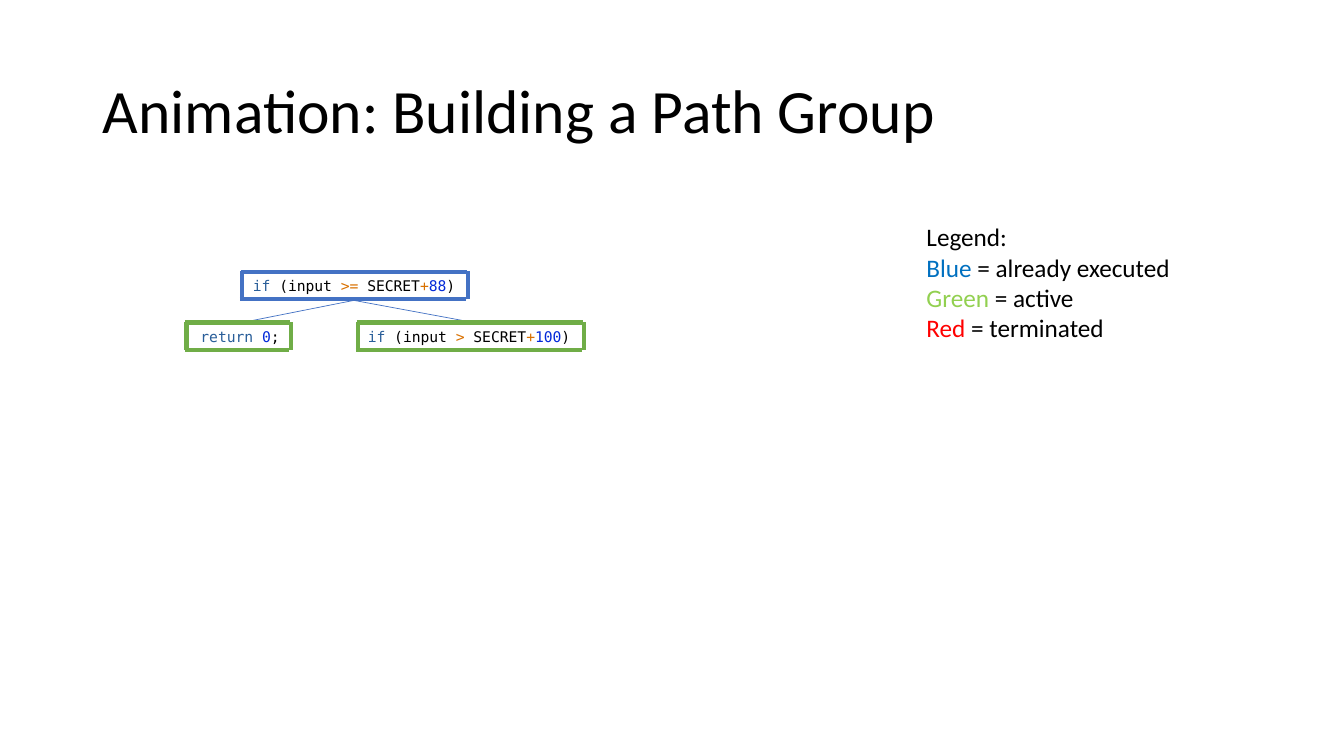
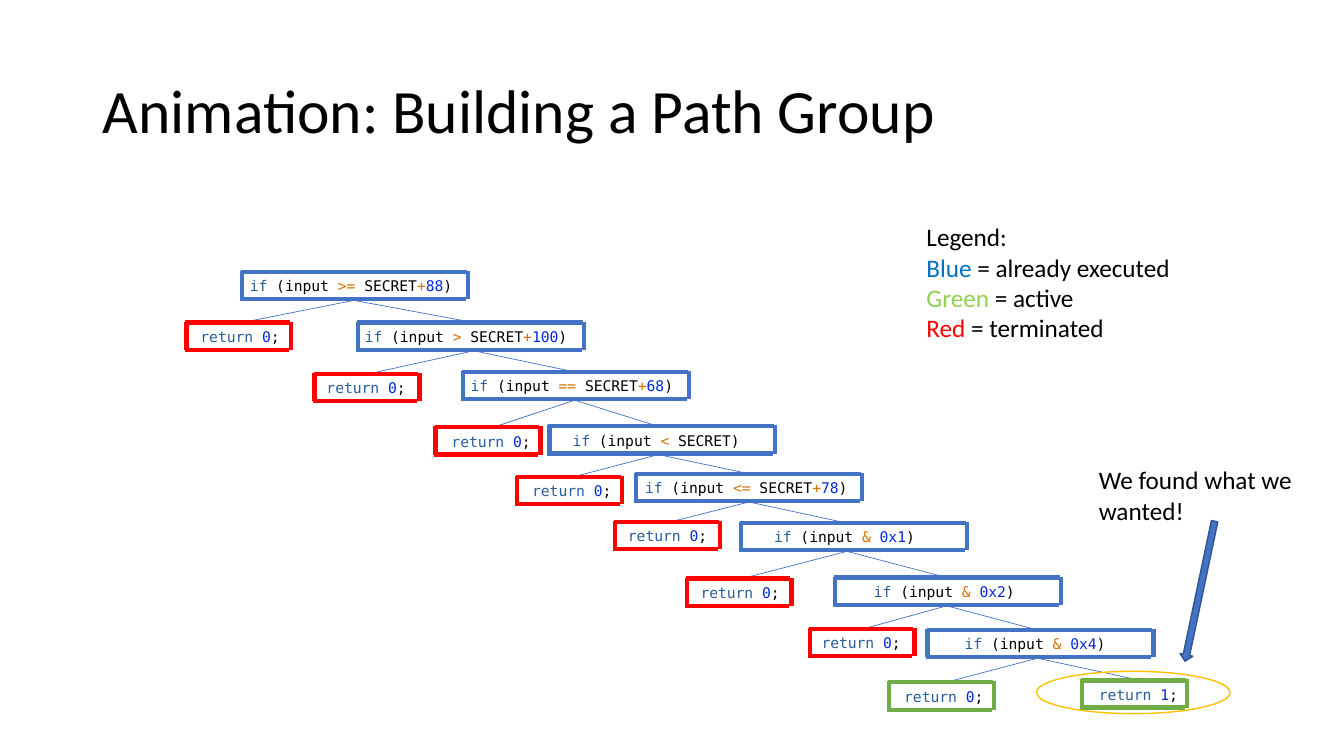
from itertools import pairwise
from pptx import Presentation
from pptx.dml.color import RGBColor
from pptx.enum.shapes import MSO_CONNECTOR as LINK, MSO_SHAPE as SHAPE
from pptx.enum.text import MSO_ANCHOR as ANCHOR, MSO_AUTO_SIZE as FIT, PP_ALIGN as ALIGN
from pptx.oxml.ns import qn
from pptx.util import Pt

PX = 9144
BLACK = RGBColor(0x00, 0x00, 0x00)
BLUE = RGBColor(0x44, 0x72, 0xC4)
NAVY = RGBColor(0x32, 0x54, 0x91)
GREEN = RGBColor(0x70, 0xAD, 0x47)
RED = RGBColor(0xFF, 0x00, 0x00)
GOLD = RGBColor(0xFF, 0xC0, 0x00)
SKY = RGBColor(0x00, 0x70, 0xC0)
LIME = RGBColor(0x92, 0xD0, 0x50)
WORD = RGBColor(0x29, 0x5E, 0x99)
SIGN = RGBColor(0xD9, 0x71, 0x00)
DIGIT = RGBColor(0x03, 0x29, 0xD8)

TITLE = "Animation: Building a Path Group"
LEGEND = [
    [("Legend:", BLACK)],
    [("Blue", SKY), (" = already executed", BLACK)],
    [("Green", LIME), (" = active", BLACK)],
    [("Red", RED), (" = terminated", BLACK)],
]
TESTS = [
    (">= ", "SECRET", "88", 238, 225, 240, 269),
    (">", " SECRET", "100", 352, 234, 355, 319),
    ("==", " SECRET", "68", 457, 225, 459, 368),
    ("<", " SECRET", "", 558, 189, 545, 422),
    ("<=", " SECRET", "78", 630, 225, 631, 469),
    ("& ", "", "0x1", 758, 163, 735, 518),
    ("& ", "", "0x2", 857, 163, 828, 572),
    ("& ", "", "0x4", 947, 163, 920, 624),
]
ENDS = [
    ("0", 189, 185, 319), ("0", 314, 312, 370), ("0", 438, 432, 423),
    ("0", 518, 513, 472), ("0", 613, 610, 517), ("0", 685, 681, 573),
    ("0", 805, 803, 623), ("0", 887, 882, 676), ("1", 1080, 1073, 674),
]
VIEWS = [
    ([BLUE, GREEN], [GREEN], 3),
    ([BLUE] * 8, [RED] * 7 + [GREEN] * 2, 0),
]


def write(page, lines, at, size=18, face="Calibri", wrap=True, box=None, gap=None):
    x, y, w, h = [n * PX for n in at]
    fit = FIT.NONE if box else FIT.SHAPE_TO_FIT_TEXT
    box = box or page.shapes.add_textbox(x, y, w, h)
    box.left, box.top, box.width, box.height = x, y, w, h
    frame = box.text_frame
    frame.word_wrap = wrap
    frame.auto_size = fit
    for i, line in enumerate(lines):
        para = frame.add_paragraph() if i else frame.paragraphs[0]
        para.alignment = ALIGN.LEFT
        para.line_spacing = gap
        for text, color in line:
            run = para.add_run()
            run.text = text
            run.font.size = Pt(size)
            run.font.name = face
            run.font.color.rgb = color
    return box


def draw(page, start, end, color=BLUE, width=0.5):
    ends = [n * PX for n in (*start, *end)]
    line = page.shapes.add_connector(LINK.STRAIGHT, *ends)
    line.line.color.rgb = color
    line.line.width = Pt(width)
    props = line._element.spPr
    props.append(props.makeelement(qn("a:effectLst"), {}))


deck = Presentation()
deck.slide_width, deck.slide_height = 1333 * PX, 750 * PX

for hues, tints, nudge in VIEWS:
    page = deck.slides.add_slide(deck.slide_layouts[5])
    head = write(page, [[(TITLE, BLACK)]], (92, 40, 1150, 145), size=44,
                 box=page.shapes.title, gap=0.9)
    head.text_frame.vertical_anchor = ANCHOR.MIDDLE

    codes, frames, hubs, tips = [], [], [], []
    for (sign, name, num, x, w, left, top), hue in zip(TESTS, hues):
        plus = "+" if name and num else ""
        parts = [("if", WORD), (" (input ", BLACK), (sign, SIGN), (name, BLACK),
                 (plus, SIGN), (num, DIGIT), (")", BLACK)]
        codes.append(([part for part in parts if part[0]], x + nudge, top + 1, w - nudge))
        frames.append((left, top, 224, hue))
        hubs.append((x + w // 2 + 1, top + 1))
    for (num, x, left, top), tint in zip(ENDS, tints):
        parts = [("return ", WORD), (num, DIGIT), (";", BLACK)]
        codes.append((parts, x, top + 1, 100))
        frames.append((left, top, 104, tint))
        tips.append((x + 51, top + 1))

    last = len(TESTS)
    hubs += tips[last:]
    for (x, y), tip in [*pairwise(hubs), *zip(hubs, tips[:last])]:
        draw(page, (x, y + 28), tip)
    for x, y, w, color in frames:
        for start, end in [
            ((x + w, y + 28), (x + w, y)),
            ((x - 1, y + 1), (x + w - 1, y + 1)),
            ((x - 2, y + 28), (x + w - 2, y + 28)),
            ((x, y + 28), (x, y)),
        ]:
            draw(page, start, end, color, 3)
    for parts, x, y, w in codes:
        write(page, [parts], (x, y, w, 28), size=10.5, face="DejaVu Sans Mono",
              wrap=not nudge)
    write(page, LEGEND, (909, 215, 265, 131), wrap=False)

arrow = page.shapes.add_shape(SHAPE.RIGHT_ARROW, 1119 * PX, 580 * PX, 142 * PX, 13 * PX)
arrow.rotation = 101.9
arrow.fill.solid()
arrow.fill.fore_color.rgb = BLUE
ring = page.shapes.add_shape(SHAPE.OVAL, 1028 * PX, 666 * PX, 192 * PX, 42 * PX)
ring.fill.background()
for shape, color in [(arrow, NAVY), (ring, GOLD)]:
    shape.shadow.inherit = False
    shape.line.color.rgb = color
    shape.line.width = Pt(1)
write(page, [[("We found what we wanted!", BLACK)]], (1080, 456, 224, 71))

deck.save("out.pptx")
